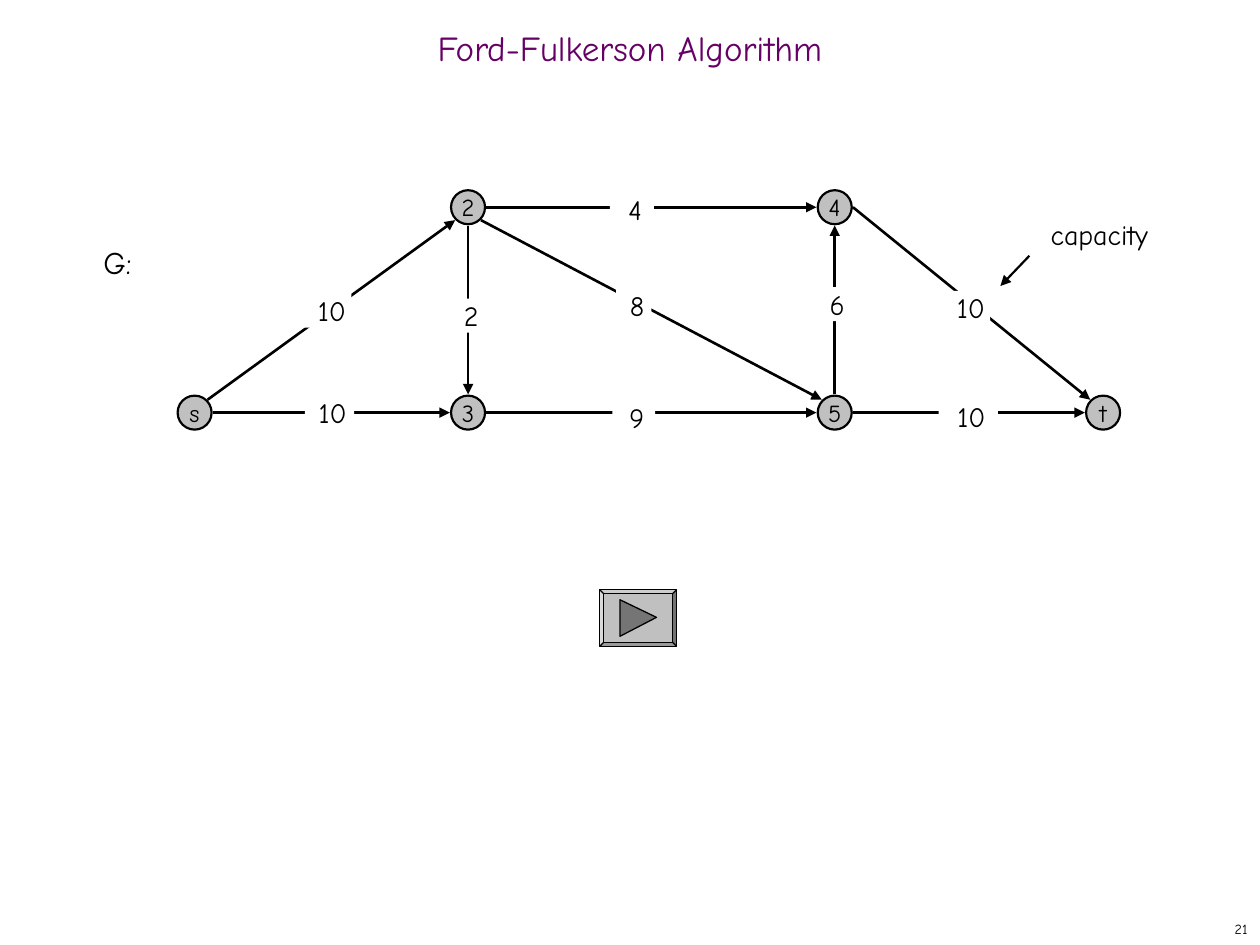
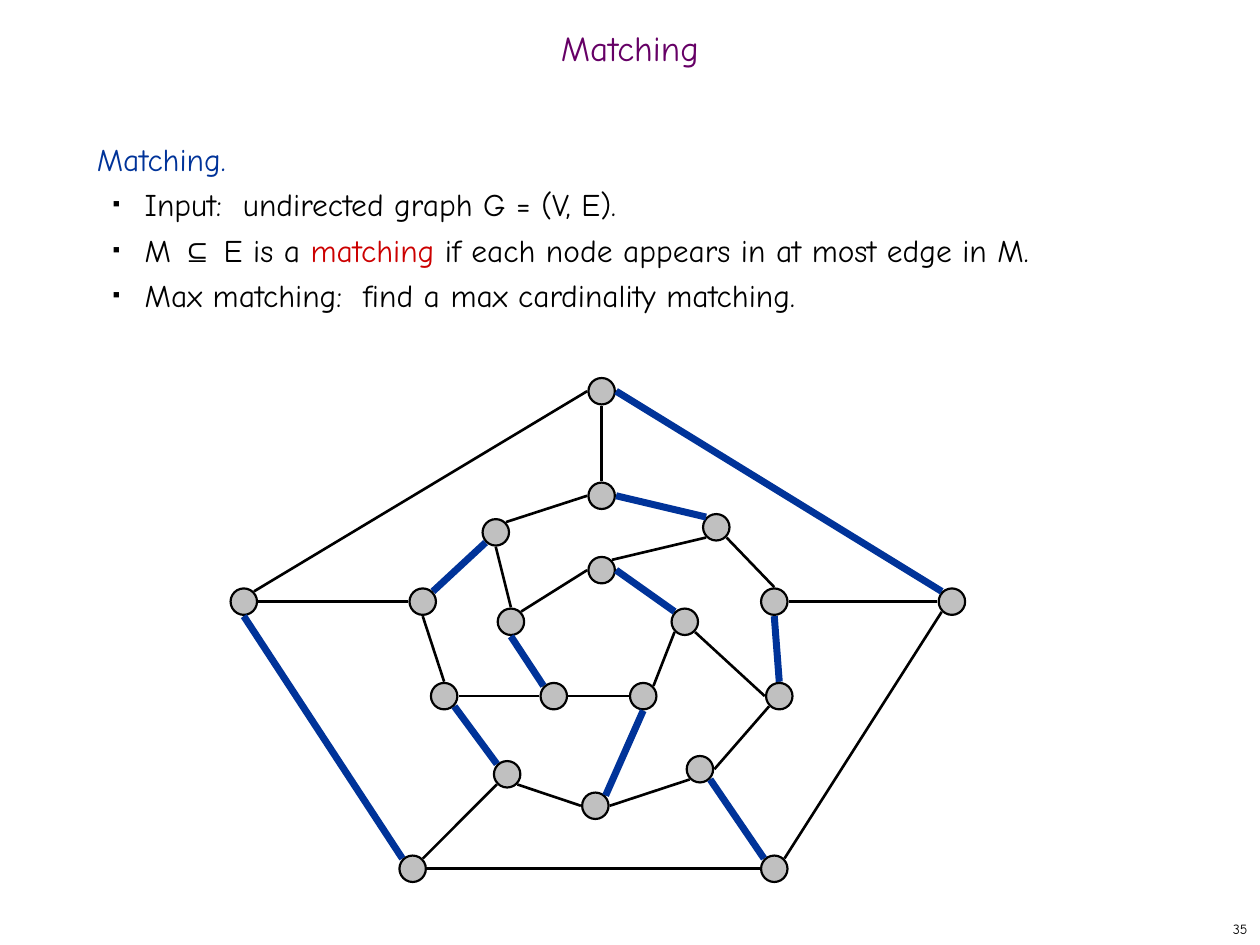
import math

import lxml.etree
import pptx
import pptx.dml.color
import pptx.enum.shapes
import pptx.enum.text
import pptx.oxml.ns
import pptx.util

SCALE = 9144
FONT = "Comic Neue"
BLACK, WHITE, GRAY, DARK_GRAY = "000000", "FFFFFF", "C0C0C0", "757575"
PURPLE, BLUE, RED = "660066", "003399", "CC0000"
SHAPES = pptx.enum.shapes.MSO_SHAPE
ALIGN = pptx.enum.text.PP_ALIGN
ANCHOR = pptx.enum.text.MSO_ANCHOR
COMPASS = ["e", "se", "s", "sw", "w", "nw", "n", "ne"]

FLOW_NODES = {"s": (141, 314), "2": (358, 151), "3": (358, 314),
              "4": (649, 151), "5": (649, 314), "t": (862, 314)}
FLOW_EDGES = ["s ne 2 sw", "s e 3 w", "3 e 5 w", "2 e 4 w", "2 s 3 n",
              "5 n 4 s", "2 se 5 nw", "4 e t nw", "5 e t w"]
CAPACITIES = [("10", 242, 314, 39, 5), ("10", 233, 233, 46, 15),
              ("9", 486, 318, 34, 5), ("8", 489, 229, 28, 5),
              ("4", 484, 153, 35, 5), ("10", 745, 317, 47, 5),
              ("10", 740, 231, 46, 15), ("6", 639, 228, 46, 5),
              ("2", 348, 237, 47, 5)]

MATCHING_NODES = {
    "top": (467, 300), "right": (745, 467), "low_right": (604, 679),
    "low_left": (317, 679), "left": (183, 467),
    "ring0": (467, 383), "ring1": (558, 408), "ring2": (604, 467),
    "ring3": (608, 542), "ring4": (545, 600), "ring5": (462, 629),
    "ring6": (392, 604), "ring7": (342, 542), "ring8": (325, 467),
    "ring9": (383, 412),
    "core0": (467, 442), "core1": (533, 483), "core2": (500, 542),
    "core3": (429, 542), "core4": (395, 483)}
MATCHED_EDGES = [
    "core0 e core1 nw", "core3 nw core4 s", "top e right nw",
    "low_left nw left s", "ring0 e ring1 nw", "ring3 n ring2 s",
    "ring9 sw ring8 ne", "ring7 se ring6 nw", "low_right nw ring4 se",
    "core2 s ring5 ne"]
OTHER_EDGES = [
    "core2 ne core1 sw", "core3 e core2 w", "core4 ne core0 w",
    "low_right ne right sw", "low_left e low_right w", "left ne top w",
    "ring2 n ring1 se", "ring3 sw ring4 e", "ring0 w ring9 ne",
    "ring8 s ring7 n", "ring6 se ring5 w", "ring5 e ring4 sw",
    "ring6 sw low_left ne", "ring8 w left e", "ring0 n top s",
    "ring2 e right w", "ring3 w core1 se", "core3 w ring7 e",
    "core4 n ring9 s", "ring1 sw core0 ne"]


def px(length):
    """Turn px into EMU."""
    return pptx.util.Emu(round(length * SCALE))


def color(value):
    """Turn a hex string into a colour."""
    return pptx.dml.color.RGBColor.from_string(value)


def apply(target, values):
    """Set every attribute named in a dict."""
    for name, value in values.items():
        setattr(target, name, value)


def place(box, left, top, width, height):
    """Move and size a box."""
    apply(box, {"left": px(left), "top": px(top),
                "width": px(width), "height": px(height)})


def add_span(para, text, size, hue=BLACK, font=FONT):
    """Append formatted text to a paragraph."""
    span = para.add_run()
    span.text = text
    apply(span.font, {"name": font, "size": pptx.util.Pt(size)})
    span.font.color.rgb = color(hue)


def write(box, text, size, align, hue=BLACK, insets=(10, 5), wrap=True,
          anchor=ANCHOR.TOP):
    """Fill a box with one formatted paragraph and return it."""
    across, down = insets
    frame = box.text_frame
    apply(frame, {"word_wrap": wrap, "vertical_anchor": anchor,
                  "margin_left": px(across), "margin_right": px(across),
                  "margin_top": px(down), "margin_bottom": px(down)})
    para = frame.paragraphs[0]
    para.alignment = align
    add_span(para, text, size, hue)
    return para


def add_text(page, area, *args, **formats):
    """Add a text box and return its first paragraph."""
    box = page.shapes.add_textbox(*map(px, area))
    return write(box, *args, **formats)


def paint(shape, fill, line_width=None, line_hue=BLACK):
    """Set the fill and outline of a shape."""
    shape.shadow.inherit = False
    shape.fill.solid()
    shape.fill.fore_color.rgb = color(fill)
    if line_width is None:
        shape.line.fill.background()
    else:
        shape.line.width = pptx.util.Pt(line_width)
        shape.line.color.rgb = color(line_hue)


def add_shape(page, kind, area, fill, line_width=None):
    """Add a painted preset shape."""
    shape = page.shapes.add_shape(kind, *map(px, area))
    paint(shape, fill, line_width)
    return shape


def add_label(page, text, area, size, align, gap):
    """Add a white label whose text starts after a gap."""
    label = add_shape(page, SHAPES.RECTANGLE, area, WHITE)
    write(label, text, size, align, insets=(0, 0))
    label.text_frame.margin_left = px(gap)


def add_line(page, start, end, width, hue=BLACK, arrow=False):
    """Draw a straight line, with an arrowhead if asked."""
    line = page.shapes.add_connector(
        pptx.enum.shapes.MSO_CONNECTOR.STRAIGHT, *map(px, (*start, *end)))
    line.line.width = pptx.util.Pt(width)
    line.line.color.rgb = color(hue)
    if arrow:
        lxml.etree.SubElement(line.line._get_or_add_ln(),
                              pptx.oxml.ns.qn("a:tailEnd"), type="triangle")
    lxml.etree.SubElement(line._element.spPr, pptx.oxml.ns.qn("a:effectLst"))


def site(corner, size, direction):
    """Find the point just outside a node in a compass direction."""
    angle = math.radians(45 * COMPASS.index(direction))
    reach = size / 2 + 1
    return (corner[0] + size / 2 + reach * math.cos(angle),
            corner[1] + size / 2 + reach * math.sin(angle))


def add_edges(page, nodes, edges, size, width, **style):
    """Draw edges given as node, side, node, side."""
    for edge in edges:
        first, leave, second, enter = edge.split()
        add_line(page, site(nodes[first], size, leave),
                 site(nodes[second], size, enter), width, **style)


def add_nodes(page, nodes, size, named=False):
    """Draw the circles of a graph, with their names if asked."""
    for name, corner in nodes.items():
        node = add_shape(page, SHAPES.OVAL, (*corner, size, size), GRAY, 1.25)
        if named:
            write(node, name, 14, ALIGN.CENTER, wrap=False,
                  anchor=ANCHOR.MIDDLE)


def add_play_button(page):
    """Draw the bevelled play button."""
    bevel = add_shape(page, SHAPES.BEVEL, (476, 468, 61, 45), GRAY, 0.75)
    bevel.adjustments[0] = 0.07
    builder = page.shapes.build_freeform(492, 476, scale=SCALE)
    builder.add_line_segments([(521, 490), (492, 505)], close=True)
    paint(builder.convert_to_shape(), DARK_GRAY, 0.75)


def add_bullet(frame, spans):
    """Append a bulleted paragraph made of spans."""
    para = frame.add_paragraph()
    props = para._p.get_or_add_pPr()
    apply_indent = {"marL": px(38), "indent": px(-25)}
    for name, value in apply_indent.items():
        props.set(name, str(value))
    bullet_hue = lxml.etree.SubElement(props, pptx.oxml.ns.qn("a:buClr"))
    for parent, tag, values in [
            (bullet_hue, "a:srgbClr", {"val": BLACK}),
            (props, "a:buSzPct", {"val": "35000"}),
            (props, "a:buFont", {"typeface": "Arial"}),
            (props, "a:buChar", {"char": "■"})]:
        lxml.etree.SubElement(parent, pptx.oxml.ns.qn(tag), values)
    para.line_spacing = pptx.util.Pt(26)
    for text, *style in spans:
        add_span(para, text, 18, *style)


def add_page(deck, title, number):
    """Add a slide with its title and page number."""
    page = deck.slides.add_slide(deck.slide_layouts[5])
    place(page.shapes.title, 0, 17, 1000, 50)
    para = write(page.shapes.title, title, 20, ALIGN.CENTER, PURPLE,
                 anchor=ANCHOR.MIDDLE)
    para.line_spacing = 0.7
    add_text(page, (792, 725, 208, 25), number, 8, ALIGN.RIGHT,
             anchor=ANCHOR.MIDDLE)
    return page


def build_flow(deck):
    """Build the flow network slide."""
    page = add_page(deck, "Ford-Fulkerson Algorithm", "21")
    add_edges(page, FLOW_NODES, FLOW_EDGES, 27, 1.5, arrow=True)
    add_nodes(page, FLOW_NODES, 27, named=True)
    for text, left, top, width, gap in CAPACITIES:
        add_label(page, text, (left, top, width, 27), 16, ALIGN.CENTER, gap)
    add_label(page, "G:", (74, 193, 48, 30), 18, ALIGN.LEFT, 8)
    add_text(page, (811, 168, 123, 37), "capacity", 16, ALIGN.CENTER)
    add_line(page, (817, 203), (794, 227), 1.25, arrow=True)
    add_play_button(page)


def build_matching(deck):
    """Build the matching slide."""
    page = add_page(deck, "Matching", "35")
    body = page.shapes.add_textbox(*map(px, (67, 100, 858, 160)))
    heading = write(body, "Matching.", 18, ALIGN.LEFT, BLUE)
    heading.line_spacing = pptx.util.Pt(26)
    for spans in [
            [("Input:  undirected graph G = (V, E).",)],
            [("M ",), ("⊆", BLACK, "Arial"), (" E is a ",),
             ("matching", RED),
             (" if each node appears in at most edge in M.",)],
            [("Max matching:  find a max cardinality matching.",)]]:
        add_bullet(body.text_frame, spans)
    add_nodes(page, MATCHING_NODES, 21)
    add_edges(page, MATCHING_NODES, OTHER_EDGES + MATCHED_EDGES, 21, 1.5)
    add_edges(page, MATCHING_NODES, MATCHED_EDGES, 21, 4, hue=BLUE)


def main():
    """Build and save the deck."""
    deck = pptx.Presentation()
    apply(deck, {"slide_width": px(1000), "slide_height": px(750)})
    build_flow(deck)
    build_matching(deck)
    deck.save("out.pptx")


if __name__ == "__main__":
    main()
